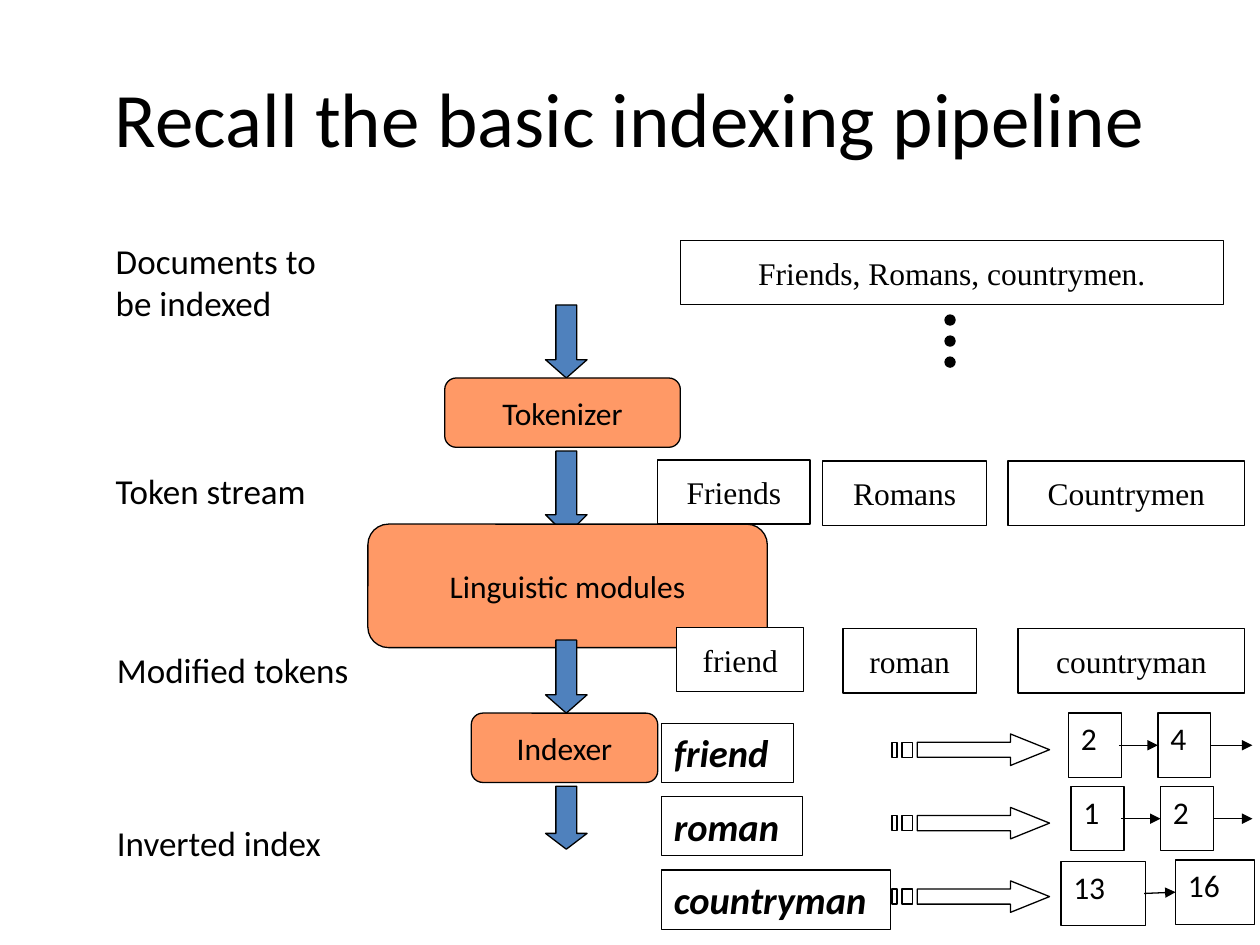
from lxml import etree
from pptx import Presentation
from pptx.dml.color import RGBColor
from pptx.enum.shapes import MSO_CONNECTOR, MSO_SHAPE
from pptx.enum.text import MSO_ANCHOR, MSO_AUTO_SIZE, PP_ALIGN
from pptx.oxml.ns import qn
from pptx.util import Inches, Pt

BLACK = RGBColor(0, 0, 0)
WHITE = RGBColor(0xFF, 0xFF, 0xFF)
ORANGE = RGBColor(0xFF, 0x99, 0x66)
BLUE = RGBColor(0x4F, 0x81, 0xBD)

RECT = MSO_SHAPE.RECTANGLE
MODULE = MSO_SHAPE.FLOWCHART_ALTERNATE_PROCESS
DOWN_ARROW = MSO_SHAPE.DOWN_ARROW
DOT = MSO_SHAPE.OVAL
STRAIGHT = MSO_CONNECTOR.STRAIGHT
MIDDLE, TOP = MSO_ANCHOR.MIDDLE, MSO_ANCHOR.TOP
CENTER, LEFT = PP_ALIGN.CENTER, PP_ALIGN.LEFT
GROW = MSO_AUTO_SIZE.SHAPE_TO_FIT_TEXT

SANS, SERIF = "Calibri", "Times New Roman"

# The slide is a grid of 100 columns and 75 rows of square cells
COLUMNS, ROWS = 100, 75
CELL = Inches(0.1)
BOX_HEIGHT = 5.1
FLOW_LEFT, FLOW_WIDTH = 43.3, 3.3
INDEX_TOP, INDEX_PITCH = 56.6, 5.83


def cells(*counts):
    return [round(count * CELL) for count in counts]


def write(shape, lines, size, font=SANS, align=LEFT, anchor=TOP,
          wrap=False, strong=False):
    frame = shape.text_frame
    frame.word_wrap = wrap
    frame.auto_size = GROW
    frame.vertical_anchor = anchor
    for number, line in enumerate(lines):
        paragraph = frame.add_paragraph() if number else frame.paragraphs[0]
        paragraph.alignment = align
        run = paragraph.add_run()
        run.text = line
        run.font.size = Pt(size)
        run.font.name = font
        run.font.bold = run.font.italic = strong
        run.font.color.rgb = BLACK


def outline(shape, fill=None):
    shape.shadow.inherit = False
    if fill is None:
        shape.fill.background()
    else:
        shape.fill.solid()
        shape.fill.fore_color.rgb = fill
    shape.line.color.rgb = BLACK
    shape.line.width = Pt(0.75)


def add_block(slide, kind, area, fill=None):
    block = slide.shapes.add_shape(kind, *cells(*area))
    outline(block, fill)
    return block


def add_label(slide, lines, left, top, width, height):
    label = slide.shapes.add_textbox(*cells(left, top, width, height))
    write(label, lines, 20)


def add_module(slide, name, area, wrap=False):
    module = add_block(slide, MODULE, area, ORANGE)
    write(module, [name], 18, align=CENTER, anchor=MIDDLE, wrap=wrap)


def add_flow_arrow(slide, top, height, head):
    arrow = add_block(slide, DOWN_ARROW, (FLOW_LEFT, top, FLOW_WIDTH, height), BLUE)
    arrow.adjustments[0] = 0.5
    arrow.adjustments[1] = head


def add_token(slide, token, left, top, width):
    box = add_block(slide, RECT, (left, top, width, BOX_HEIGHT), WHITE)
    write(box, [token], 18, SERIF, CENTER, MIDDLE)


def add_term(slide, term, top, width):
    box = add_block(slide, RECT, (52.5, top, width, 4.7))
    write(box, [term], 22, strong=True)


def add_posting(slide, number, left, top, width, wrap):
    box = add_block(slide, RECT, (left, top, width, BOX_HEIGHT))
    write(box, [number], 18, wrap=wrap)


def add_striped_arrow(slide, top):
    upper, lower = top + 0.65, top + 1.85
    body = [(80.2, top), (80.2, upper), (72.8, upper), (72.8, lower),
            (80.2, lower), (80.2, top + 2.5), (83.3, top + 1.25)]
    stripes = [[(left, upper), (left, lower), (right, lower), (right, upper)]
               for left, right in ((71.6, 72.4), (70.8, 71.2))]
    builder = slide.shapes.build_freeform(*cells(*body[0]))
    builder.add_line_segments([cells(*point) for point in body[1:]])
    for stripe in stripes:
        builder.move_to(*cells(*stripe[0]))
        builder.add_line_segments([cells(*point) for point in stripe[1:]])
    outline(builder.convert_to_shape())


def add_link(slide, start, end, start_row, end_row):
    link = slide.shapes.add_connector(STRAIGHT, *cells(start, start_row, end, end_row))
    link.line.color.rgb = BLACK
    link.line.width = Pt(0.75)
    properties = link._element.spPr
    etree.SubElement(link.line._get_or_add_ln(), qn("a:tailEnd"), type="triangle")
    etree.SubElement(properties, qn("a:effectLst"))


def add_documents(slide):
    add_flow_arrow(slide, 24.2, 5.8, 0.44)
    add_label(slide, ["Documents to", "be indexed"], 8.2, 18.5, 20.9, 7.7)
    add_token(slide, "Friends, Romans, countrymen.", 54, 19.1, 43.1)
    for number in range(3):
        add_block(slide, DOT, (75, 25 + number * 1.67, 0.8, 0.8), BLACK)


def add_token_stream(slide):
    add_module(slide, "Tokenizer", (35.3, 30, 18.7, 5.5))
    add_flow_arrow(slide, 35.8, 6.7, 0.5)
    add_label(slide, ["Token stream"], 8.2, 36.8, 20.7, 4.4)
    for token, left, top, width in (("Friends", 52.2, 36.5, 12.1),
                                    ("Romans", 65.3, 36.6, 13),
                                    ("Countrymen", 80, 36.6, 18.8)):
        add_token(slide, token, left, top, width)


def add_modified_tokens(slide):
    add_module(slide, "Linguistic modules", (29.2, 41.6, 31.7, 9.8), wrap=True)
    add_flow_arrow(slide, 50.8, 5.8, 0.44)
    add_label(slide, ["Modified tokens"], 8.3, 51, 24.6, 4.3)
    for token, left, top, width in (("friend", 53.7, 49.8, 10.1),
                                    ("roman", 66.9, 49.9, 10.6),
                                    ("countryman", 80.8, 49.9, 18)):
        add_token(slide, token, left, top, width)


def add_inverted_index(slide):
    add_module(slide, "Indexer", (37.4, 56.6, 14.8, 5.5))
    add_flow_arrow(slide, 62.4, 5, 0.38)
    add_label(slide, ["Inverted index"], 8.3, 64.7, 22.3, 4.3)

    # Each term: box width, postings (number, left, top shift, width, wrap), links
    entries = (
        ("friend", 10.5, (("2", 84.8, 0, 4.2, False), ("4", 91.9, 0, 4.2, False)),
         ((88.8, 91.9, 0), (96.1, 99.4, 0))),
        ("roman", 11.2, (("1", 85, 0, 4.2, False), ("2", 92.1, 0, 4.2, False)),
         ((89, 92.1, 0), (96.3, 99.4, 0))),
        ("countryman", 18.2, (("13", 84.2, 0.1, 6.7, True), ("16", 93.3, 0, 6.3, False)),
         ((90.8, 93.3, 0.1),)),
    )
    for row, (term, width, postings, links) in enumerate(entries):
        top = INDEX_TOP + row * INDEX_PITCH
        add_term(slide, term, top + 0.8, width)
        add_striped_arrow(slide, top + 1.65)
        for number, left, shift, box_width, wrap in postings:
            add_posting(slide, number, left, top + shift, box_width, wrap)
        middle = top + BOX_HEIGHT / 2
        for start, end, drop in links:
            add_link(slide, start, end, middle + drop, middle)


def main():
    deck = Presentation()
    deck.slide_width, deck.slide_height = cells(COLUMNS, ROWS)
    slide = deck.slides.add_slide(deck.slide_layouts[6])

    # Title
    title = slide.shapes.add_textbox(*cells(5, 3, 90, 12.5))
    write(title, ["Recall the basic indexing pipeline"], 44,
          align=CENTER, anchor=MIDDLE, wrap=True)
    title.text_frame.auto_size = MSO_AUTO_SIZE.NONE

    # Pipeline stages, from top to bottom
    add_documents(slide)
    add_token_stream(slide)
    add_modified_tokens(slide)
    add_inverted_index(slide)
    deck.save("out.pptx")


if __name__ == "__main__":
    main()
